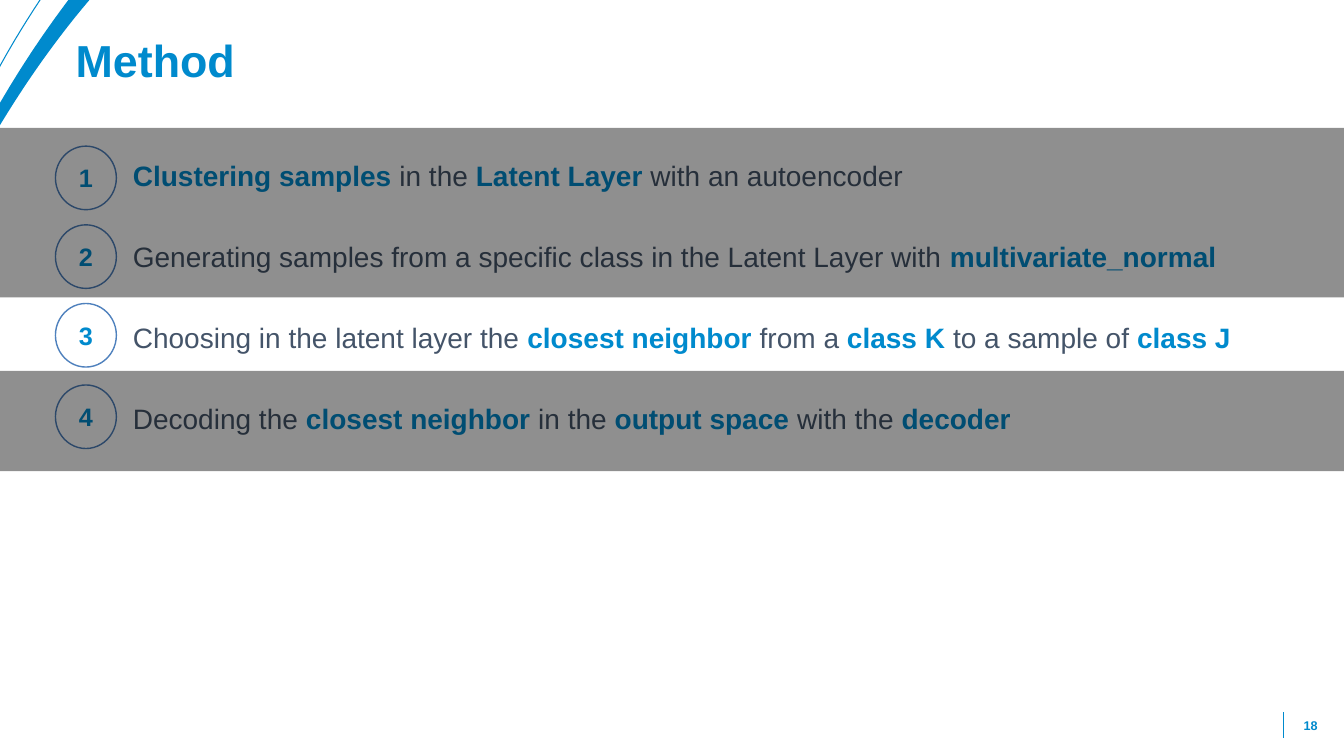
import pptx
import pptx.dml.color
import pptx.enum.shapes
import pptx.enum.text
import pptx.oxml
import pptx.oxml.ns
import pptx.util

Pt = pptx.util.Pt
Shapes = pptx.enum.shapes.MSO_SHAPE
Align = pptx.enum.text.PP_ALIGN
Anchor = pptx.enum.text.MSO_ANCHOR

COLORS = {"accent": "008ACD", "body": "445469", "ring": "4F81BD", "veil": "000000"}
STEPS = [
    [("Clustering samples", True), (" in the ", False), ("Latent Layer", True),
     (" with an autoencoder", False)],
    [("Generating samples from a specific class in the Latent Layer with ", False),
     ("multivariate_normal", True)],
    [("Choosing in the latent layer the ", False), ("closest neighbor ", True),
     ("from a ", False), ("class K ", True), ("to a sample of ", False), ("class J", True)],
    [("Decoding the ", False), ("closest neighbor ", True), ("in the ", False),
     ("output space ", True), ("with the ", False), ("decoder", True)],
]
RING_OFFSETS = [0, 56.2, 112.4, 170.6]


def color(name):
    return pptx.dml.color.RGBColor.from_string(COLORS[name])


def write(para, text, size, tint="accent", bold=True, align=None):
    span = para.add_run()
    span.text = text
    span.font.name = "Arial"
    span.font.size = Pt(size)
    span.font.bold = bold
    span.font.color.rgb = color(tint)
    if align is not None:
        para.alignment = align


def curve(start, control_a, control_b, end, count=16):
    points = []
    for step in range(1, count + 1):
        t = step / count
        weights = ((1 - t) ** 3, 3 * t * (1 - t) ** 2, 3 * t * t * (1 - t), t ** 3)
        corners = (start, control_a, control_b, end)
        points.append(tuple(sum(w * corner[axis] for w, corner in zip(weights, corners))
                            for axis in (0, 1)))
    return points


def add_outline(slide, points, left, top):
    placed = [(Pt(left + x), Pt(top + y)) for x, y in points]
    builder = slide.shapes.build_freeform(*placed[0])
    builder.add_line_segments(placed[1:], close=True)
    shape = builder.convert_to_shape()
    shape.shadow.inherit = False
    return shape


def add_corner(slide, left, top):
    thin = [(0, 0), (42.5, 0), (39.6, 3.6)]
    thin += curve(thin[-1], (26.6, 23), (15.8, 41), (7.2, 56.9)) + [(0, 70.6)]
    stripe = add_outline(slide, thin, left, top)
    stripe.fill.background()
    stripe.line.color.rgb = color("accent")
    stripe.line.width = Pt(0.75)

    thick = [(63.4, 0), (78.5, 0), (67, 13.7)]
    thick += curve(thick[-1], (40.3, 46.1), (20.2, 77), (4.3, 103.7))
    thick += [(0, 111.6), (0, 95.8)]
    thick += curve(thick[-1], (14.4, 69.8), (34.6, 36.7), (61.9, 1.4))
    swoosh = add_outline(slide, thick, left, top)
    swoosh.fill.solid()
    swoosh.fill.fore_color.rgb = color("accent")
    swoosh.line.fill.background()


def add_title(slide, left, top, width, height):
    title = slide.shapes.title
    title.left, title.top, title.width, title.height = map(Pt, (left, top, width, height))
    title.text_frame.vertical_anchor = Anchor.TOP
    para = title.text_frame.paragraphs[0]
    para.line_spacing = 0.9
    write(para, "Method", 32, align=Align.LEFT)


def add_steps(slide, left, top, width, height):
    box = slide.shapes.add_textbox(Pt(left + 48.2), Pt(top + 4.3), Pt(width - 48.2), Pt(height))
    frame = box.text_frame
    frame.word_wrap = True
    for index, parts in enumerate(STEPS):
        para = frame.paragraphs[0] if index == 0 else frame.add_paragraph()
        para.line_spacing = 1.04
        para.space_before = Pt(25 if index else 0)
        para.space_after = Pt(8)
        for text, strong in parts:
            write(para, text, 20, tint="accent" if strong else "body", bold=strong)

    for number, offset in enumerate(RING_OFFSETS, 1):
        ring = slide.shapes.add_shape(Shapes.OVAL, Pt(left), Pt(top + offset), Pt(43.5), Pt(45.4))
        ring.shadow.inherit = False
        ring.fill.background()
        ring.line.color.rgb = color("ring")
        ring.line.width = Pt(1)
        ring.text_frame.vertical_anchor = Anchor.MIDDLE
        write(ring.text_frame.paragraphs[0], str(number), 18, align=Align.CENTER)


def add_veil(slide, left, top, width, height):
    veil = slide.shapes.add_shape(Shapes.RECTANGLE, *map(Pt, (left, top, width, height)))
    veil.shadow.inherit = False
    veil.fill.solid()
    veil.fill.fore_color.rgb = color("veil")
    veil.line.fill.background()
    tint = veil.fill._xPr.find(".//" + pptx.oxml.ns.qn("a:srgbClr"))
    alpha = tint.makeelement(pptx.oxml.ns.qn("a:alpha"), {"val": "44000"})
    tint.append(alpha)


def add_page_number(slide, left, top, width, height):
    rule = slide.shapes.add_connector(pptx.enum.shapes.MSO_CONNECTOR.STRAIGHT,
                                      Pt(left - 0.5), Pt(top + 23), Pt(left - 0.5), Pt(top + 4.5))
    rule.line.color.rgb = color("accent")
    rule.line.width = Pt(0.75)
    properties = rule._element.spPr
    properties.append(properties.makeelement(pptx.oxml.ns.qn("a:effectLst"), {}))
    box = slide.shapes.add_textbox(*map(Pt, (left, top, width, height)))
    box.text_frame.word_wrap = True
    box.text_frame.vertical_anchor = Anchor.MIDDLE
    write(box.text_frame.paragraphs[0], "18", 9, align=Align.RIGHT)


def main():
    deck = pptx.Presentation()
    deck.slide_width, deck.slide_height = Pt(960), Pt(540)
    page = deck.slides.add_slide(deck.slide_layouts[5])
    add_corner(page, -8.6, -7.2)
    add_title(page, 46.8, 23.8, 872, 104.4)
    add_steps(page, 39.6, 104.4, 887, 342.7)
    add_page_number(page, 917.3, 504, 31, 28.8)
    add_veil(page, -18.7, 265, 1018.8, 71.5)
    add_veil(page, -23, 91.4, 1018.8, 121)
    deck.save("out.pptx")


if __name__ == "__main__":
    main()
